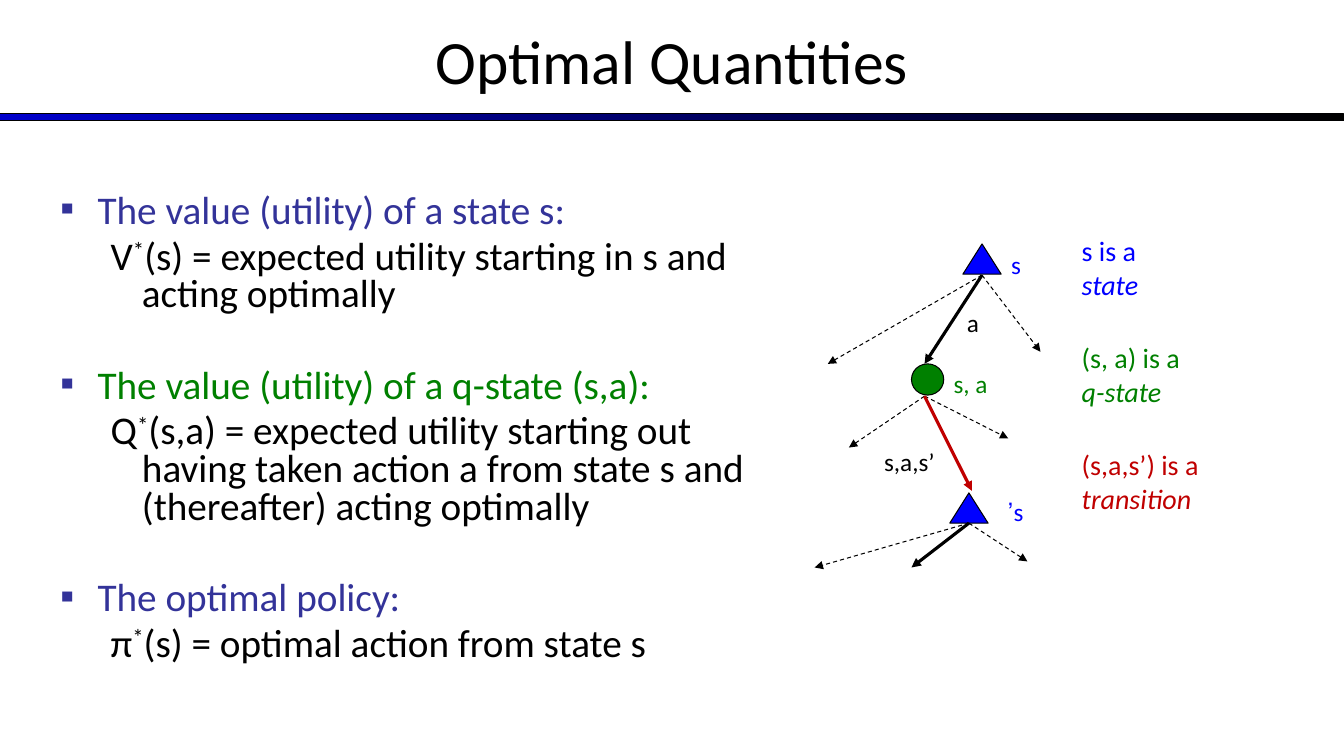
from dataclasses import dataclass

from lxml import etree
from pptx import Presentation
from pptx.dml.color import RGBColor
from pptx.enum.dml import MSO_LINE
from pptx.enum.shapes import MSO_CONNECTOR, MSO_SHAPE
from pptx.enum.text import MSO_ANCHOR, PP_ALIGN
from pptx.oxml.ns import qn
from pptx.util import Inches, Pt

RECT, TRIANGLE, OVAL = MSO_SHAPE.RECTANGLE, MSO_SHAPE.ISOSCELES_TRIANGLE, MSO_SHAPE.OVAL
STRAIGHT, DASH = MSO_CONNECTOR.STRAIGHT, MSO_LINE.DASH
LEFT, CENTER, RIGHT = PP_ALIGN.LEFT, PP_ALIGN.CENTER, PP_ALIGN.RIGHT
TOP, MIDDLE = MSO_ANCHOR.TOP, MSO_ANCHOR.MIDDLE


@dataclass(frozen=True)
class Theme:
    font: str = "Calibri"
    black: str = "000000"
    bar: str = "0000CC"
    heading: str = "333399"
    state: str = "0000FF"
    q_state: str = "008000"
    transition: str = "C00000"
    title_size: int = 44
    body_size: int = 28
    legend_size: int = 20
    label_size: int = 18
    thin: float = 0.75
    thick: float = 2.25


T = Theme()


def rgb(color):
    return RGBColor.from_string(color)


def add_run(p, text, size, color, italic=None, baseline=None):
    r = p.add_run()
    r.text = text
    r.font.name = T.font
    r.font.size = Pt(size)
    r.font.color.rgb = rgb(color)
    r.font.italic = italic
    if baseline:
        r.font._element.set("baseline", str(baseline))


def add_box(s, x, y, w, h, anchor=TOP):
    tf = s.shapes.add_textbox(Inches(x), Inches(y), Inches(w), Inches(h)).text_frame
    tf.word_wrap = True
    tf.vertical_anchor = anchor
    return tf


def add_label(s, x, y, w, text, color, align=LEFT, rtl=False):
    p = add_box(s, x, y, w, 0.4).paragraphs[0]
    p.alignment = align
    if rtl:
        p._p.get_or_add_pPr().set("rtl", "1")
    add_run(p, text, T.label_size, color)


def add_legend(s, y, w, lead, term, color, line_break=False):
    p = add_box(s, 10.63, y, w, 0.77).paragraphs[0]
    add_run(p, lead, T.legend_size, color)
    if line_break:
        p.add_line_break()
    add_run(p, term, T.legend_size, color, italic=True)


def add_node(s, kind, x, y, w, h, color):
    sp = s.shapes.add_shape(kind, Inches(x), Inches(y), Inches(w), Inches(h))
    sp.shadow.inherit = False
    sp.fill.solid()
    sp.fill.fore_color.rgb = rgb(color)
    sp.line.color.rgb = rgb(T.black)
    sp.line.width = Pt(T.thin)
    return sp


def add_arrow(s, start, end, color=None):
    cx = s.shapes.add_connector(STRAIGHT, *map(Inches, start + end))
    cx.line.color.rgb = rgb(color or T.black)
    cx.line.width = Pt(T.thick if color else T.thin)
    if not color:
        cx.line.dash_style = DASH
    etree.SubElement(cx.line._get_or_add_ln(), qn("a:tailEnd"), type="triangle")
    etree.SubElement(cx._element.spPr, qn("a:effectLst"))


def add_fan(s, start, dashed_ends, chosen_end, color):
    for end in dashed_ends:
        add_arrow(s, start, end)
    add_arrow(s, start, chosen_end, color)


def format_paragraph(p, margin, indent, space_before):
    pPr = p._p.get_or_add_pPr()
    pPr.set("marL", str(Inches(margin)))
    pPr.set("indent", str(Inches(indent)))
    p.line_spacing = 0.8
    p.space_before = Pt(space_before)
    return pPr


def add_definition(tf, first, heading, color, symbol, meaning):
    p = tf.paragraphs[0] if first else tf.add_paragraph()
    pPr = format_paragraph(p, 0.37, -0.37, 0 if first else 38.5)
    bullet_color = etree.SubElement(pPr, qn("a:buClr"))
    etree.SubElement(bullet_color, qn("a:srgbClr"), val=T.heading)
    etree.SubElement(pPr, qn("a:buFont"), typeface=T.font)
    etree.SubElement(pPr, qn("a:buChar"), char="▪")
    add_run(p, heading, T.body_size, color)

    p = tf.add_paragraph()
    p.level = 1
    format_paragraph(p, 0.81, -0.31, 5.6)
    add_run(p, symbol, T.body_size, T.black)
    add_run(p, "*", T.body_size, T.black, baseline=30000)
    add_run(p, meaning, T.body_size, T.black)


def add_header(s):
    bar = add_node(s, RECT, 0, 1.13, 13.33, 0.07, T.bar)
    bar.fill.gradient()
    bar.fill.gradient_angle = 0
    for stop, color in zip(bar.fill.gradient_stops, (T.bar, T.black)):
        stop.color.rgb = rgb(color)
    p = add_box(s, 0, -0.03, 13.33, 1.25, MIDDLE).paragraphs[0]
    p.alignment = CENTER
    add_run(p, "Optimal Quantities", T.title_size, T.black)


def add_definitions(s):
    definitions = [
        ("The value (utility) of a state s:", T.heading, "V",
         "(s) = expected utility starting in s and acting optimally"),
        ("The value (utility) of a q-state (s,a):", T.q_state, "Q",
         "(s,a) = expected utility starting out having taken action a "
         "from state s and (thereafter) acting optimally"),
        ("The optimal policy:", T.heading, "π", "(s) = optimal action from state s"),
    ]
    tf = add_box(s, 0.5, 1.88, 7.33, 4.96)
    for i, definition in enumerate(definitions):
        add_definition(tf, i == 0, *definition)


def add_tree(s):
    for x, y in ((9.55, 2.42), (9.42, 4.89)):
        add_node(s, TRIANGLE, x, y, 0.38, 0.3, T.state)
    add_node(s, OVAL, 9.04, 3.61, 0.32, 0.31, T.q_state)
    add_fan(s, (9.74, 2.73), [(8.21, 3.61), (10.32, 3.49)], (9.17, 3.61), T.black)
    add_fan(s, (9.17, 3.93), [(8.42, 4.44), (10, 4.35)], (9.64, 4.87), T.transition)
    add_fan(s, (9.61, 5.19), [(8.08, 5.63), (10.19, 5.57)], (9.04, 5.63), T.black)
    add_label(s, 9.49, 3, 0.32, "a", T.black)
    add_label(s, 9.93, 2.42, 0.32, "s", T.state)
    add_label(s, 9.83, 4.87, 0.42, "s’", T.state, RIGHT, rtl=True)
    add_label(s, 9.36, 3.61, 0.64, "s, a", T.q_state)
    add_label(s, 8.67, 4.38, 0.9, "s,a,s’", T.black)


def main():
    prs = Presentation()
    prs.slide_width, prs.slide_height = Inches(13.33), Inches(7.5)
    s = prs.slides.add_slide(prs.slide_layouts[6])
    add_header(s)
    add_definitions(s)
    add_tree(s)
    add_legend(s, 2.27, 1.15, "s is a ", "state", T.state)
    add_legend(s, 3.33, 1.42, "(s, a) is a ", "q-state", T.q_state)
    add_legend(s, 4.39, 2.37, "(s,a,s’) is a ", "transition", T.transition, line_break=True)
    prs.save("out.pptx")


if __name__ == "__main__":
    main()
